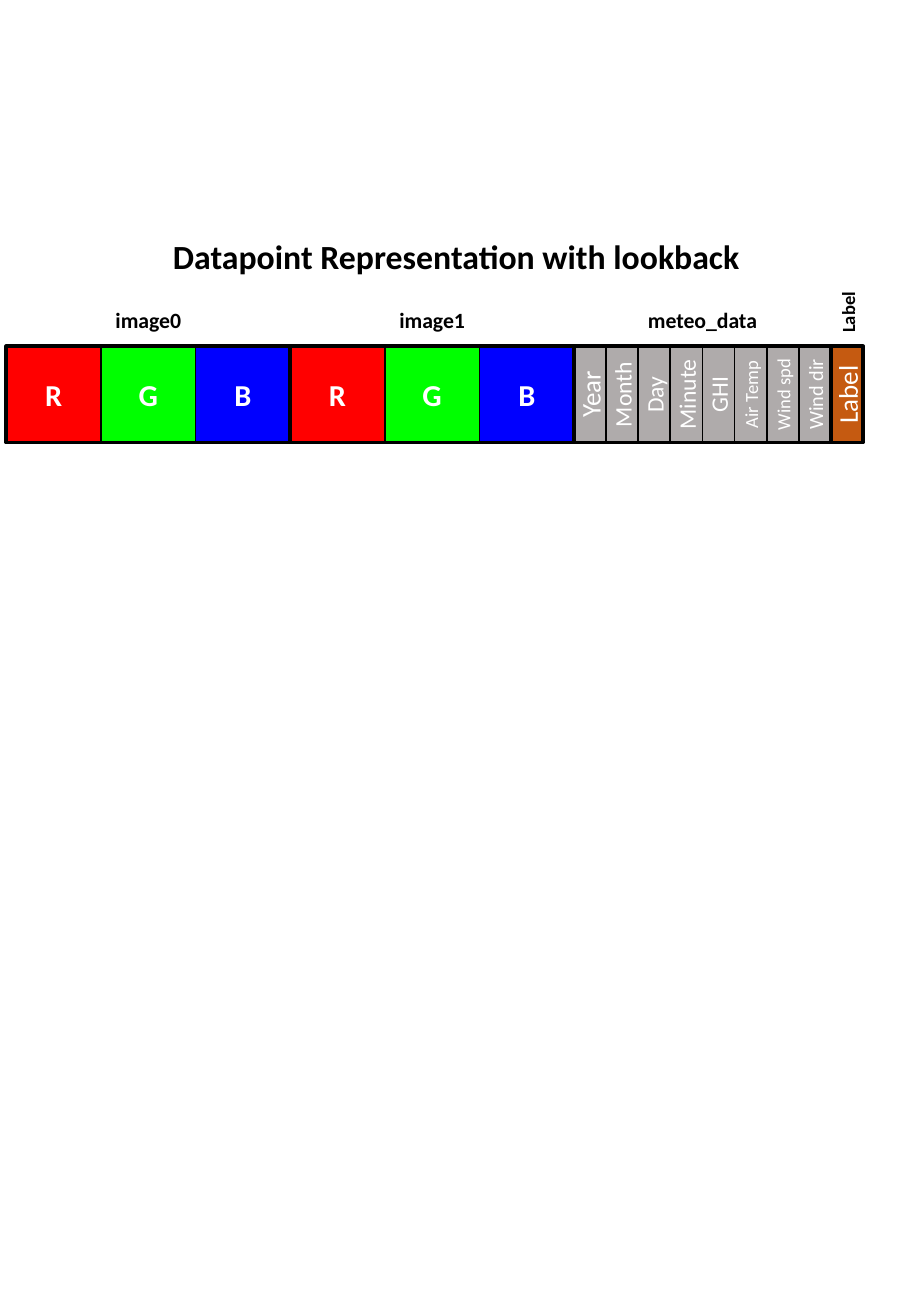
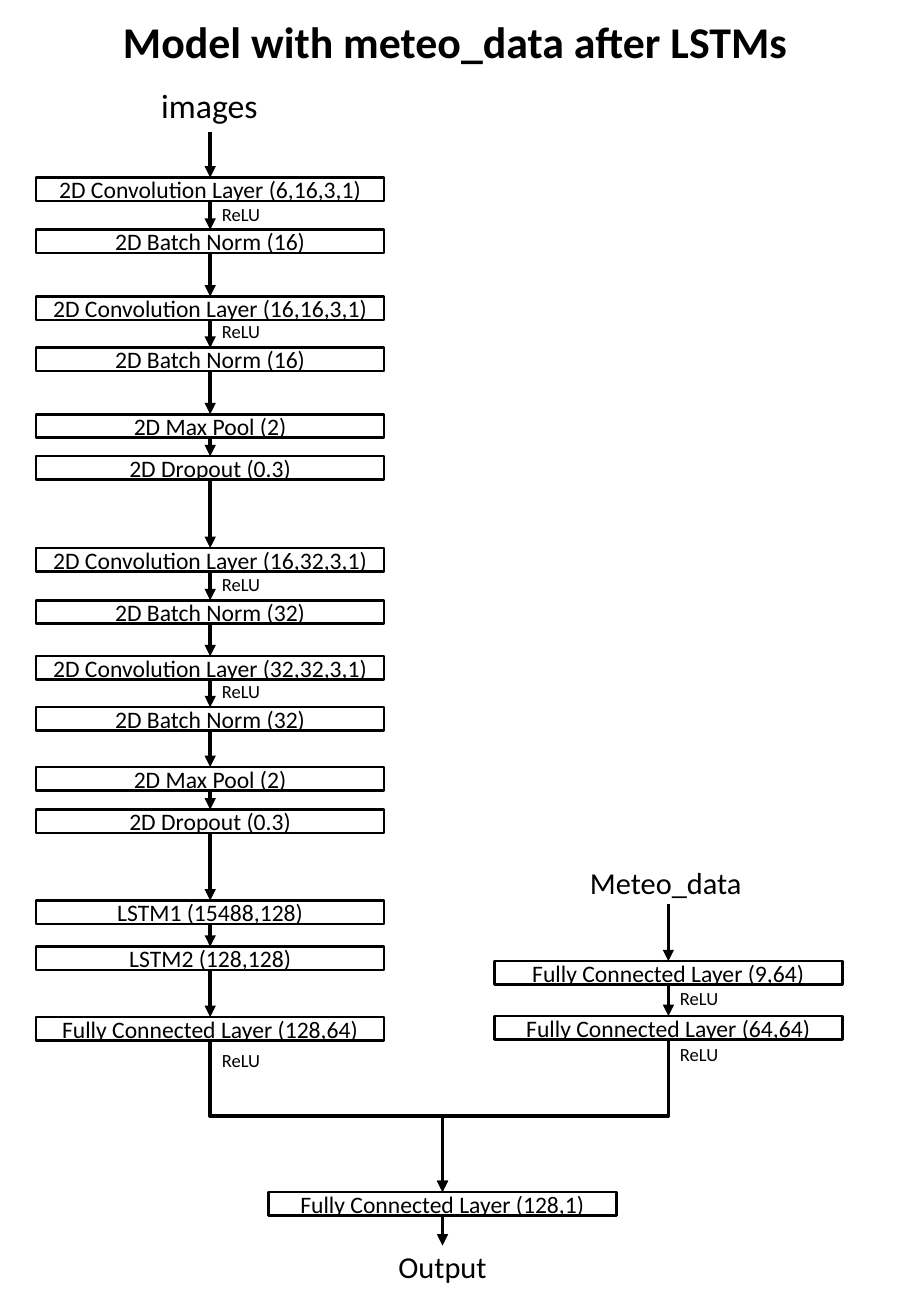
from dataclasses import dataclass
from typing import NamedTuple, Optional

from lxml.etree import SubElement
from pptx import Presentation
from pptx.dml.color import RGBColor as RGB
from pptx.enum.shapes import MSO_CONNECTOR as LINK, MSO_SHAPE as SHAPE
from pptx.enum.text import MSO_ANCHOR as ANCHOR, MSO_AUTO_SIZE as FIT, PP_ALIGN as ALIGN
from pptx.oxml.ns import qn
from pptx.util import Pt


# Theme
@dataclass(frozen=True)
class Theme:
    font: str = "Calibri"
    black: str = "000000"
    white: str = "FFFFFF"
    red: str = "FF0000"
    green: str = "00FF00"
    blue: str = "0000FF"
    gray: str = "AFABAB"
    rust: str = "C55A11"
    thin: float = 1
    edge: float = 1.5
    thick: float = 2.25
    small: float = 11
    body: float = 14
    band: float = 18
    head: float = 20
    cap: float = 12.9
    main: float = 26


T = Theme()


class Box(NamedTuple):
    left: float
    top: float
    width: float
    height: float

    @property
    def mid(self) -> float:
        return self.left + self.width / 2

    @property
    def base(self) -> float:
        return self.top + self.height

    def pts(self) -> list:
        return [Pt(v) for v in self]


class Font(NamedTuple):
    size: float
    color: str = T.black
    bold: bool = False
    align: ALIGN = ALIGN.CENTER
    space: float = 1


class Layer(NamedTuple):
    name: str
    top: float
    relu: Optional[float] = None  # top of the ReLU note below the layer


class Column(NamedTuple):
    source: str
    area: Box
    size: float
    mid: float
    note: float  # width of the ReLU notes
    layers: list


# Drawing functions
def write(shape, text: str, font: Font, anchor=ANCHOR.MIDDLE) -> None:
    frame = shape.text_frame
    frame.word_wrap = True
    frame.vertical_anchor = anchor
    frame.text = text
    line = frame.paragraphs[0]
    line.alignment = font.align
    line.line_spacing = font.space
    for run in line.runs:
        run.font.name = T.font
        run.font.size = Pt(font.size)
        run.font.bold = font.bold
        run.font.color.rgb = RGB.from_string(font.color)


def title(slide, text: str, area: Box, font: Font, anchor) -> None:
    shape = slide.shapes.title
    shape.left, shape.top, shape.width, shape.height = area.pts()
    write(shape, text, font, anchor)
    shape.text_frame.auto_size = FIT.NONE


def label(shapes, text: str, area: Box, font: Font, anchor=ANCHOR.TOP, turn: float = 0) -> None:
    shape = shapes.add_textbox(*area.pts())
    write(shape, text, font, anchor)
    shape.rotation = turn


def rect(shapes, area: Box, weight: float, fill: Optional[str] = None):
    shape = shapes.add_shape(SHAPE.RECTANGLE, *area.pts())
    shape.shadow.inherit = False
    shape.line.color.rgb = RGB.from_string(T.black)
    shape.line.width = Pt(weight)
    if fill:
        shape.fill.solid()
        shape.fill.fore_color.rgb = RGB.from_string(fill)
    else:
        shape.fill.background()
    return shape


def cell(shapes, text: str, area: Box, weight: float, fill: str, font: Font) -> None:
    shape = rect(shapes, area, weight, fill)
    write(shape, text, font)
    shape.text_frame.margin_left = shape.text_frame.margin_right = 0


def tall(shapes, text: str, area: Box, weight: float, fill: str, size: float) -> None:
    """Upright cell whose text reads from bottom to top."""
    left = area.mid - area.height / 2
    top = area.top + (area.height - area.width) / 2
    shape = rect(shapes, Box(left, top, area.height, area.width), weight, fill)
    shape.rotation = 270
    write(shape, text, Font(size, T.white))
    shape.text_frame.margin_left = shape.text_frame.margin_right = 0


def arrow(shapes, x: float, y: float, end_x: float, end_y: float, kind=LINK.STRAIGHT):
    link = shapes.add_connector(kind, Pt(x), Pt(y), Pt(end_x), Pt(end_y))
    link.line.color.rgb = RGB.from_string(T.black)
    link.line.width = Pt(T.thick)
    SubElement(link.line._get_or_add_ln(), qn("a:tailEnd"), type="triangle")
    SubElement(link._element.spPr, qn("a:effectLst"))
    return link


def elbow(shapes, x: float, y: float, end_x: float, end_y: float) -> None:
    """Arrow that runs down, across and down: a turned elbow."""
    mid_x, mid_y = (x + end_x) / 2, (y + end_y) / 2
    half_w, half_h = (end_y - y) / 2, abs(end_x - x) / 2
    side = 1 if end_x > x else -1
    link = arrow(shapes, mid_x + side * half_w, mid_y - half_h,
                 mid_x - side * half_w, mid_y + half_h, LINK.ELBOW)
    turn = 270 if side > 0 else 90
    link._element.spPr.find(qn("a:xfrm")).set("rot", str(turn * 60000))


# Deck
deck = Presentation()
deck.slide_width, deck.slide_height = Pt(540), Pt(779.76)
plain = deck.slide_layouts[5]

# Slide 1: one data point as a row of cells
slide = deck.slides.add_slide(plain)
title(slide, "Datapoint Representation with lookback", Box(37.5, 134.6, 466, 36.7),
      Font(T.head, bold=True, space=0.9), ANCHOR.MIDDLE)

ROW, HIGH = 205.2, 57
BAND, SLOT = 56.1, 19.05
METEO = 340.2
BANDS = [("R", T.red), ("G", T.green), ("B", T.blue)]
FIELDS = [("Year", 16), ("Month", 14), ("Day", 14), ("Minute", 14), ("GHI", 14),
          ("Air Temp", 11), ("Wind spd", 11), ("Wind dir", 12)]
CAPTION = Font(T.cap, bold=True, space=0.7)


def caption(text: str, mid: float) -> None:
    label(slide.shapes, text, Box(mid - 47.5, 182.2, 95, 18.7), CAPTION, ANCHOR.MIDDLE)


for name, left in [("image0", 3.75), ("image1", 172)]:
    group = slide.shapes.add_group_shape().shapes
    for i, (band, color) in enumerate(BANDS):
        cell(group, band, Box(left + i * BAND, ROW, BAND, HIGH), T.thin, color,
             Font(T.band, T.white, True))
    frame = Box(left, ROW, len(BANDS) * BAND, HIGH)
    rect(group, frame, T.thick)
    caption(name, frame.mid)

group = slide.shapes.add_group_shape().shapes
for i, (field, size) in enumerate(FIELDS):
    tall(group, field, Box(METEO + i * SLOT, ROW, SLOT, HIGH), T.thin, T.gray, size)
frame = Box(METEO, ROW, len(FIELDS) * SLOT, HIGH)
rect(group, frame, T.thick)
caption("meteo_data", frame.mid)

tall(slide.shapes, "Label", Box(METEO + frame.width, ROW, SLOT, HIGH), T.thick, T.rust, 16)
label(slide.shapes, "Label", Box(455.8, 175.7, 96.5, 18.7),
      Font(T.small, bold=True, space=0.7), ANCHOR.MIDDLE, 270)

# Slide 2: the network as two columns that join
slide = deck.slides.add_slide(plain)
shapes = slide.shapes
title(slide, "Model with meteo_data after LSTMs", Box(33.8, 5, 472.3, 38.9),
      Font(T.main, bold=True), ANCHOR.TOP)

WIDE, DEEP = 206.3, 13.8
COLUMNS = [
    Column("images", Box(6.5, 46.8, 235.4, 31.7), 20, 124.6, 67, [
        Layer("2D Convolution Layer (6,16,3,1)", 105.2, 116.6),
        Layer("2D Batch Norm (16)", 136.1),
        Layer("2D Convolution Layer (16,16,3,1)", 175.7, 185.8),
        Layer("2D Batch Norm (16)", 206),
        Layer("2D Max Pool (2)", 245.5),
        Layer("2D Dropout (0.3)", 270.3),
        Layer("2D Convolution Layer (16,32,3,1)", 324.7, 336.2),
        Layer("2D Batch Norm (32)", 355.7),
        Layer("2D Convolution Layer (32,32,3,1)", 388.8, 399.6),
        Layer("2D Batch Norm (32)", 419),
        Layer("2D Max Pool (2)", 454.5),
        Layer("2D Dropout (0.3)", 479.7),
        Layer("LSTM1 (15488,128)", 533.6),
        Layer("LSTM2 (128,128)", 560.9),
        Layer("Fully Connected Layer (128,64)", 602.6, 617.8),
    ]),
    Column("Meteo_data", Box(330.5, 508.3, 128.2, 27.4), 18, 396.2, 47.5, [
        Layer("Fully Connected Layer (9,64)", 569.5, 581),
        Layer("Fully Connected Layer (64,64)", 602, 614.2),
    ]),
]


def draw(layer: Layer, mid: float) -> Box:
    area = Box(mid - WIDE / 2, layer.top, WIDE, DEEP)
    cell(shapes, layer.name, area, T.edge, T.white, Font(T.body))
    return area


# Joining layer and output
last = draw(Layer("Fully Connected Layer (128,1)", 706.3), 262.3)
arrow(shapes, last.mid, last.base, last.mid, 738)
label(shapes, "Output", Box(last.mid - 33.5, 735.8, 67, 31), Font(T.band))

# Columns
for col in COLUMNS:
    label(shapes, col.source, col.area, Font(col.size))
    base = col.area.base
    for layer in col.layers:
        area = draw(layer, col.mid)
        arrow(shapes, col.mid, base, col.mid, area.top)
        base = area.base
        if layer.relu is not None:
            label(shapes, "ReLU", Box(col.mid - 0.2, layer.relu, col.note, 21),
                  Font(T.small, align=ALIGN.LEFT))
    elbow(shapes, col.mid, base, last.mid, last.top)

deck.save("out.pptx")
